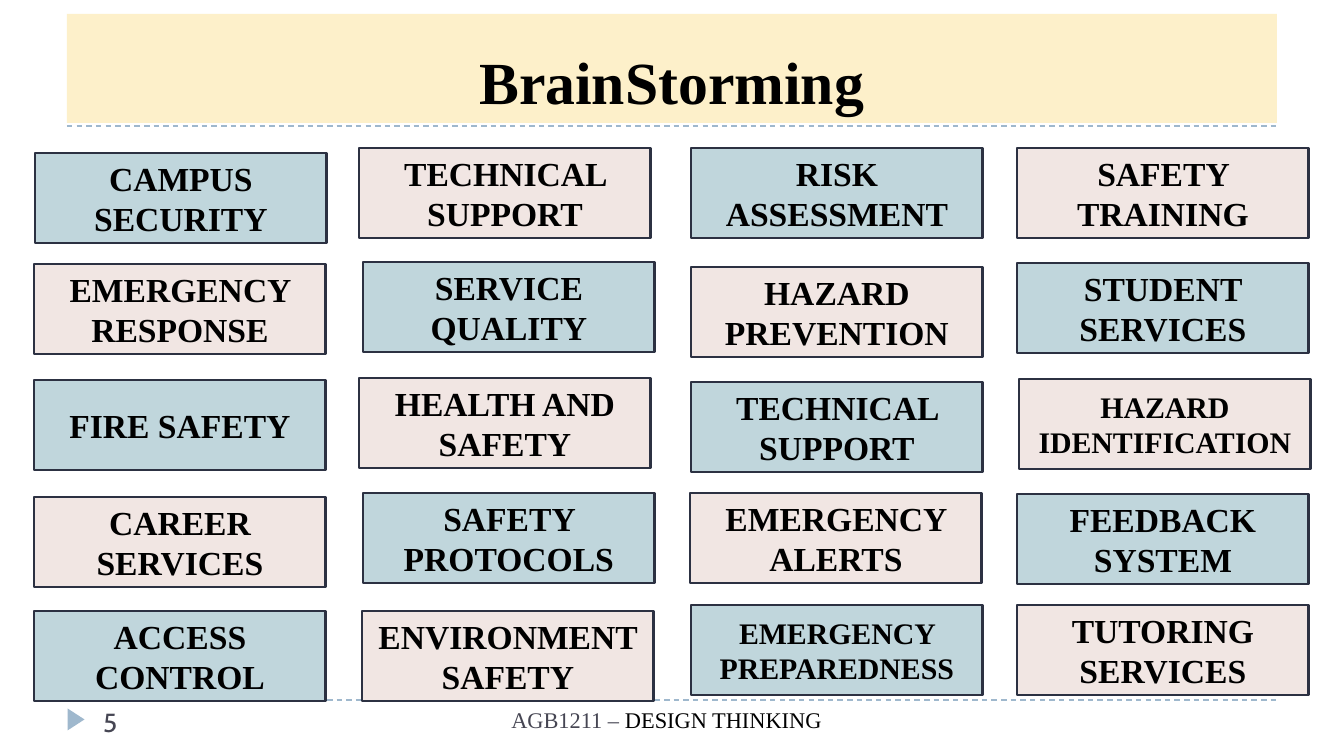
from lxml import etree
from pptx import Presentation
from pptx.dml.color import RGBColor
from pptx.enum.dml import MSO_LINE
from pptx.enum.shapes import MSO_CONNECTOR, MSO_SHAPE
from pptx.enum.text import MSO_ANCHOR, PP_ALIGN
from pptx.oxml.ns import qn
from pptx.util import Pt

RECTANGLE = MSO_SHAPE.RECTANGLE
TRIANGLE = MSO_SHAPE.ISOSCELES_TRIANGLE
STRAIGHT = MSO_CONNECTOR.STRAIGHT
DASH = MSO_LINE.DASH
CENTER = PP_ALIGN.CENTER
MIDDLE, BOTTOM = MSO_ANCHOR.MIDDLE, MSO_ANCHOR.BOTTOM

EMU_PER_PX = 914400 / 134.4
SERIF, SANS = "Times New Roman", "Cabin"
COLORS = {
    "rule": "9FB8CD",
    "banner": "FDF0CA",
    "blue": "C0D6DC",
    "pink": "F1E6E3",
    "border": "2C3142",
    "black": "000000",
    "slate": "464653",
}


def px(*lengths):
    return [round(length * EMU_PER_PX) for length in lengths]


def add_block(kind, box, fill, text="", size=18, anchor=MIDDLE):
    """Add a filled, borderless shape with centred bold serif text."""
    block = slide.shapes.add_shape(kind, *px(*box))
    block.shadow.inherit = False
    block.fill.solid()
    block.fill.fore_color.rgb = RGBColor.from_string(COLORS[fill])
    block.line.fill.background()
    if text:
        block.text_frame.text = text
        block.text_frame.vertical_anchor = anchor
        paragraph = block.text_frame.paragraphs[0]
        paragraph.alignment = CENTER
        paragraph.font.name = SERIF
        paragraph.font.size = Pt(size)
        paragraph.font.bold = True
        paragraph.font.color.rgb = RGBColor.from_string(COLORS["black"])
    return block


prs = Presentation()
prs.slide_width, prs.slide_height = px(1344, 756)
slide = prs.slides.add_slide(prs.slide_layouts[6])

# Rules, page marker and title
for rule_y in (700, 126):
    rule = slide.shapes.add_connector(STRAIGHT, *px(67, rule_y, 1277, rule_y))
    rule.line.color.rgb = RGBColor.from_string(COLORS["rule"])
    rule.line.width = Pt(0.75)
    rule.line.dash_style = DASH
    etree.SubElement(rule._element.spPr, qn("a:effectLst"))

page_marker = add_block(TRIANGLE, (65, 711, 22, 17), "rule")
page_marker.rotation = 90
add_block(RECTANGLE, (67, 14, 1210, 109), "banner", "BrainStorming", 32, BOTTOM)

# Footer
footer = slide.shapes.add_textbox(*px(370, 700, 593, 55))
footer.text_frame.word_wrap = True
course = footer.text_frame.paragraphs[0]
course.alignment = CENTER
course.font.name = SERIF
course.font.size = Pt(12)
for words, color in (("AGB1211 – ", "slate"), ("DESIGN THINKING", "black")):
    run = course.add_run()
    run.text = words
    run.font.color.rgb = RGBColor.from_string(COLORS[color])

page_number = slide.shapes.add_textbox(*px(90, 700, 292, 40))
page_number.text_frame.word_wrap = True
page_number.text_frame.text = "5"
number = page_number.text_frame.paragraphs[0]
number.font.name = SANS
number.font.size = Pt(14)
number.font.color.rgb = RGBColor.from_string(COLORS["slate"])

# Ideas by row: text, left, top; the cards are placed slightly unevenly
idea_rows = [
    [("CAMPUS SECURITY", 35, 153), ("TECHNICAL SUPPORT", 359, 148),
     ("RISK ASSESSMENT", 691, 148), ("SAFETY TRAINING", 1017, 148)],
    [("EMERGENCY RESPONSE", 34, 264), ("SERVICE QUALITY", 363, 262),
     ("HAZARD PREVENTION", 691, 267), ("STUDENT SERVICES", 1017, 263)],
    [("FIRE SAFETY", 34, 380), ("HEALTH AND SAFETY", 359, 378),
     ("TECHNICAL SUPPORT", 691, 382), ("HAZARD IDENTIFICATION", 1019, 379)],
    [("CAREER SERVICES", 34, 497), ("SAFETY PROTOCOLS", 363, 493),
     ("EMERGENCY ALERTS", 690, 493), ("FEEDBACK SYSTEM", 1017, 494)],
    [("ACCESS CONTROL", 34, 611), ("ENVIRONMENT SAFETY", 362, 611),
     ("EMERGENCY PREPAREDNESS", 691, 605), ("TUTORING SERVICES", 1017, 605)],
]
small_ideas = {"HAZARD IDENTIFICATION", "EMERGENCY PREPAREDNESS"}

for row, ideas in enumerate(idea_rows):
    for column, (idea, left, top) in enumerate(ideas):
        fill = ("blue", "pink")[(row + column) % 2]
        size = 16 if idea in small_ideas else 18
        card = add_block(RECTANGLE, (left, top, 292, 90), fill, idea, size)
        card.line.color.rgb = RGBColor.from_string(COLORS["border"])
        card.line.width = Pt(1.5)

prs.save("out.pptx")
